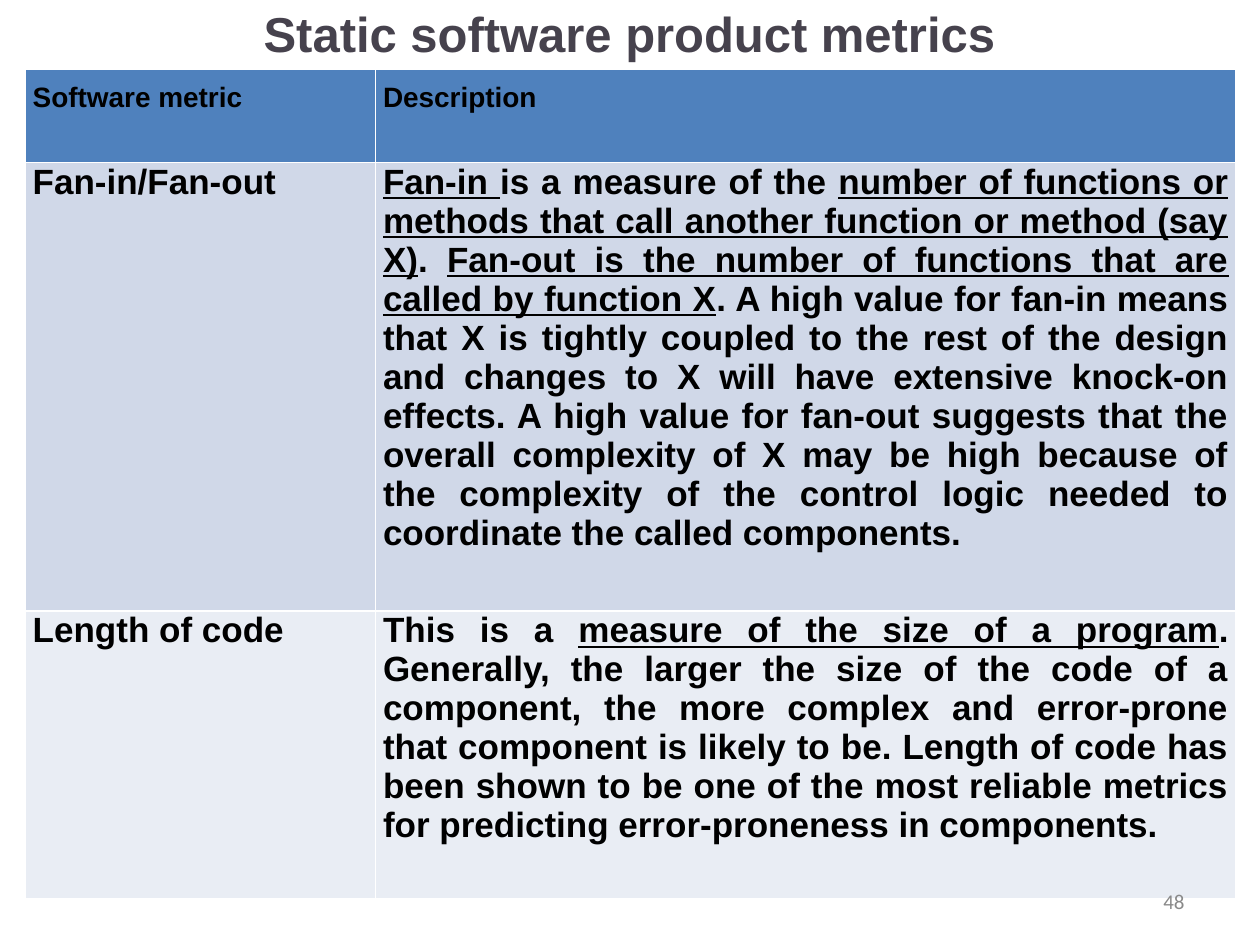
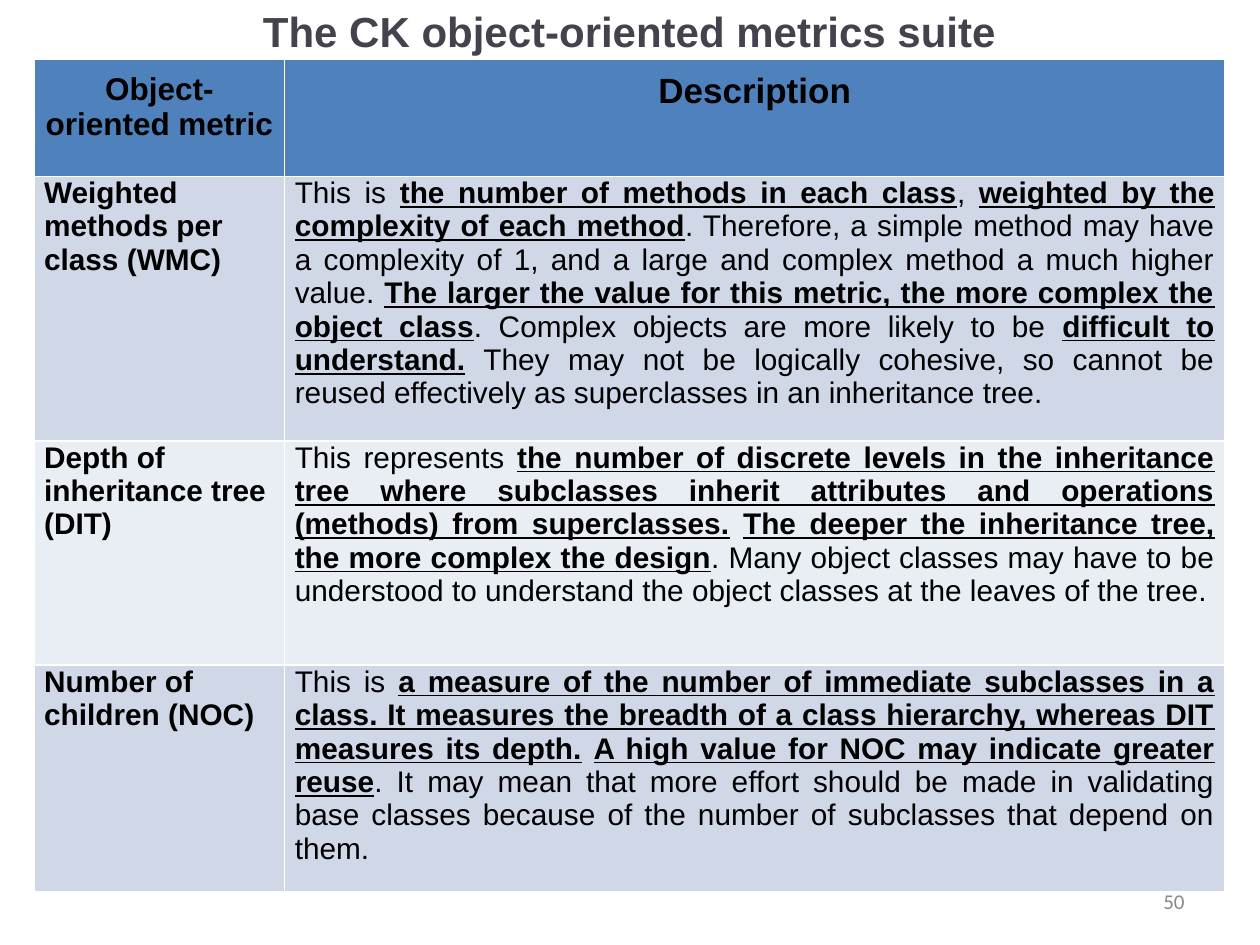
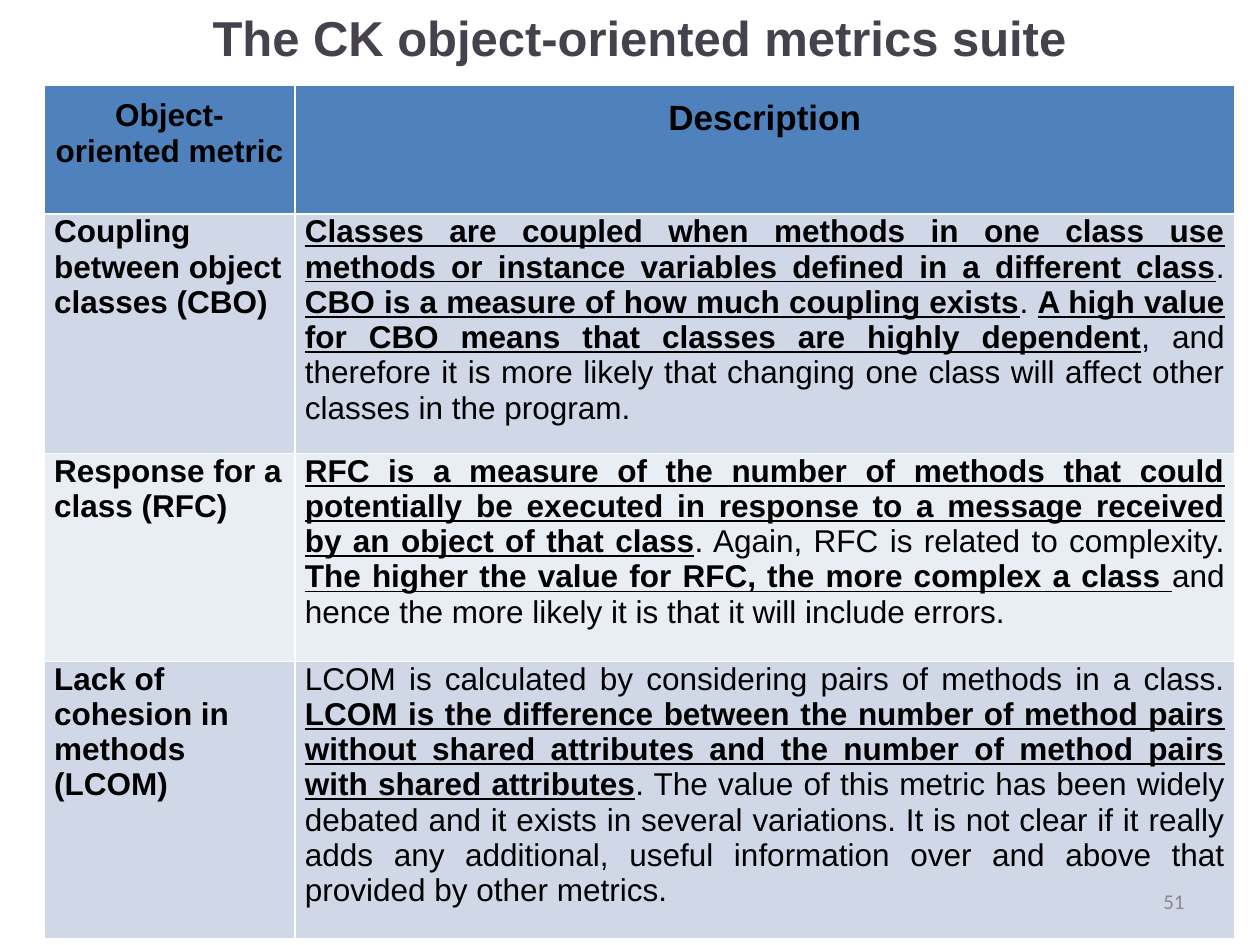
from dataclasses import dataclass

import pptx
import pptx.dml.color
import pptx.enum.text
import pptx.util

ALIGN = pptx.enum.text.PP_ALIGN
MIDDLE = pptx.enum.text.MSO_ANCHOR.MIDDLE
SLIDE_WIDTH = pptx.util.Inches(10)
SLIDE_HEIGHT = pptx.util.Inches(7.5)
TITLE_COLOR, TEXT_COLOR, NUMBER_COLOR = "46424D", "000000", "898989"
HEADER_FILL = "4F81BD"
BAND_FILLS = ("D0D8E8", "E9EDF4")
NUMBER_BOX = (71.7, 92.67, 23.3, 5.33)
EMPHASIS_MARK = "*"


@dataclass(frozen=True)
class Metric:
    name: str
    description: str
    height: float


@dataclass(frozen=True)
class MetricSlide:
    number: int
    title: str
    title_box: tuple[float, float, float, float]
    title_size: int
    table_corner: tuple[float, float]
    columns: tuple[float, float]
    headings: tuple[str, str]
    heading_sizes: tuple[int, int]
    heading_align: ALIGN
    heading_height: float
    side_margin: float
    body_size: int
    bold_body: bool
    metrics: tuple[Metric, ...]


CK_TITLE = "The CK object-oriented metrics suite"
CK_TABLE = dict(
    columns=(19.9, 74.6),
    headings=("Object-oriented metric", "Description"),
    heading_sizes=(18, 20),
    heading_align=ALIGN.CENTER,
    side_margin=0.08,
    bold_body=False,
)

SLIDES = (
    MetricSlide(
        number=48,
        title="Static software product metrics",
        title_box=(3.1, 0, 93.7, 6.93),
        title_size=28,
        table_corner=(2, 7.33),
        columns=(27.8, 68.3),
        headings=("Software metric", "Description"),
        heading_sizes=(16, 16),
        heading_align=ALIGN.JUSTIFY,
        heading_height=9.87,
        side_margin=0.06,
        body_size=20,
        bold_body=True,
        metrics=(
            Metric(
                "Fan-in/Fan-out",
                "*Fan-in *is a measure of the *number of functions or methods that call "
                "another function or method (say X)*. *Fan-out is the number of functions "
                "that are called by function X*. A high value for fan-in means that X is "
                "tightly coupled to the rest of the design and changes to X will have "
                "extensive knock-on effects. A high value for fan-out suggests that the "
                "overall complexity of X may be high because of the complexity of the "
                "control logic needed to coordinate the called components.",
                47.47,
            ),
            Metric(
                "Length of code",
                "This is a *measure of the size of a program*. Generally, the larger the "
                "size of the code of a component, the more complex and error-prone that "
                "component is likely to be. Length of code has been shown to be one of the "
                "most reliable metrics for predicting error-proneness in components.",
                30.4,
            ),
        ),
    ),
    MetricSlide(
        number=50,
        title=CK_TITLE,
        title_box=(4.2, 0.13, 91.5, 6.13),
        title_size=24,
        table_corner=(2.7, 6.27),
        heading_height=12.4,
        body_size=17,
        metrics=(
            Metric(
                "Weighted methods per class (WMC)",
                "This is *the number of methods in each class*, *weighted by the complexity "
                "of each method*. Therefore, a simple method may have a complexity of 1, "
                "and a large and complex method a much higher value. *The larger the value "
                "for this metric, the more complex the object class*. Complex objects are "
                "more likely to be *difficult to understand.* They may not be logically "
                "cohesive, so cannot be reused effectively as superclasses in an "
                "inheritance tree.",
                28,
            ),
            Metric(
                "Depth of inheritance tree (DIT)",
                "This represents *the number of discrete levels in the inheritance tree "
                "where subclasses inherit attributes and operations (methods) from "
                "superclasses.* *The deeper the inheritance tree, the more complex the "
                "design*. Many object classes may have to be understood to understand the "
                "object classes at the leaves of the tree.",
                23.73,
            ),
            Metric(
                "Number of children (NOC)",
                "This is *a measure of the number of immediate subclasses in a class. It "
                "measures the breadth of a class hierarchy, whereas DIT measures its "
                "depth.* *A high value for NOC may indicate greater reuse*. It may mean "
                "that more effort should be made in validating base classes because of the "
                "number of subclasses that depend on them.",
                24,
            ),
        ),
        **CK_TABLE,
    ),
    MetricSlide(
        number=51,
        title=CK_TITLE,
        title_box=(5, 0.27, 91.5, 7.2),
        title_size=28,
        table_corner=(3.5, 9.07),
        heading_height=13.6,
        body_size=18,
        metrics=(
            Metric(
                "Coupling between object classes (CBO)",
                "*Classes are coupled when methods in one class use methods or instance "
                "variables defined in a different class*. *CBO is a measure of how much "
                "coupling exists*. *A high value for CBO means that classes are highly "
                "dependent*, and therefore it is more likely that changing one class will "
                "affect other classes in the program.",
                25.33,
            ),
            Metric(
                "Response for a class (RFC)",
                "*RFC is a measure of the number of methods that could potentially be "
                "executed in response to a message received by an object of that class*. "
                "Again, RFC is related to complexity. *The higher the value for RFC, the "
                "more complex a class *and hence the more likely it is that it will "
                "include errors.",
                22,
            ),
            Metric(
                "Lack of cohesion in methods (LCOM)",
                "LCOM is calculated by considering pairs of methods in a class. *LCOM is "
                "the difference between the number of method pairs without shared "
                "attributes and the number of method pairs with shared attributes*. The "
                "value of this metric has been widely debated and it exists in several "
                "variations. It is not clear if it really adds any additional, useful "
                "information over and above that provided by other metrics.",
                29.33,
            ),
        ),
        **CK_TABLE,
    ),
)


def across(percent: float) -> int:
    return round(SLIDE_WIDTH * percent / 100)


def down(percent: float) -> int:
    return round(SLIDE_HEIGHT * percent / 100)


def rgb(color: str) -> pptx.dml.color.RGBColor:
    return pptx.dml.color.RGBColor.from_string(color)


def write(frame, text: str, size: int, align: ALIGN, bold: bool = True,
          color: str = TEXT_COLOR, font: str = "Arial") -> None:
    paragraph = frame.paragraphs[0]
    paragraph.alignment = align
    paragraph.font.name = font
    paragraph.font.size = pptx.util.Pt(size)
    paragraph.font.bold = bold
    paragraph.font.color.rgb = rgb(color)
    for index, part in enumerate(text.split(EMPHASIS_MARK)):
        if part:
            run = paragraph.add_run()
            run.text = part
            if index % 2:
                run.font.bold = True
                run.font.underline = True


def add_title(slide, content: MetricSlide) -> None:
    title = slide.shapes.title
    left, top, width, height = content.title_box
    title.left, title.top = across(left), down(top)
    title.width, title.height = across(width), down(height)
    title.text_frame.vertical_anchor = MIDDLE
    write(title.text_frame, content.title, content.title_size, ALIGN.CENTER, color=TITLE_COLOR)


def fill_cell(cell, fill: str, side_margin: float, top_margin: float) -> None:
    cell.fill.solid()
    cell.fill.fore_color.rgb = rgb(fill)
    cell.margin_left = cell.margin_right = pptx.util.Inches(side_margin)
    cell.margin_top = pptx.util.Inches(top_margin)
    cell.margin_bottom = pptx.util.Inches(0.1)


def add_metrics(slide, content: MetricSlide) -> None:
    heights = (content.heading_height, *(metric.height for metric in content.metrics))
    left, top = content.table_corner
    table = slide.shapes.add_table(
        len(heights), len(content.columns), across(left), down(top),
        across(sum(content.columns)), down(sum(heights)),
    ).table
    for column, width in zip(table.columns, content.columns):
        column.width = across(width)
    for row, height in zip(table.rows, heights):
        row.height = down(height)

    for column, (heading, size) in enumerate(zip(content.headings, content.heading_sizes)):
        cell = table.cell(0, column)
        fill_cell(cell, HEADER_FILL, content.side_margin, 0.1)
        write(cell.text_frame, heading, size, content.heading_align)

    for row, metric in enumerate(content.metrics, start=1):
        name, description = table.rows[row].cells
        for cell in (name, description):
            fill_cell(cell, BAND_FILLS[(row - 1) % 2], content.side_margin, 0)
        write(name.text_frame, metric.name, content.body_size, ALIGN.LEFT)
        write(description.text_frame, metric.description, content.body_size,
              ALIGN.JUSTIFY, content.bold_body)


def add_number(slide, number: int) -> None:
    left, top, width, height = NUMBER_BOX
    frame = slide.shapes.add_textbox(
        across(left), down(top), across(width), down(height)
    ).text_frame
    frame.word_wrap = True
    frame.vertical_anchor = MIDDLE
    write(frame, str(number), 12, ALIGN.RIGHT, False, NUMBER_COLOR, "Calibri")


def main() -> None:
    deck = pptx.Presentation()
    deck.slide_width, deck.slide_height = SLIDE_WIDTH, SLIDE_HEIGHT
    title_only = deck.slide_layouts.get_by_name("Title Only")
    for content in SLIDES:
        slide = deck.slides.add_slide(title_only)
        add_title(slide, content)
        add_metrics(slide, content)
        add_number(slide, content.number)
    deck.save("out.pptx")


if __name__ == "__main__":
    main()
